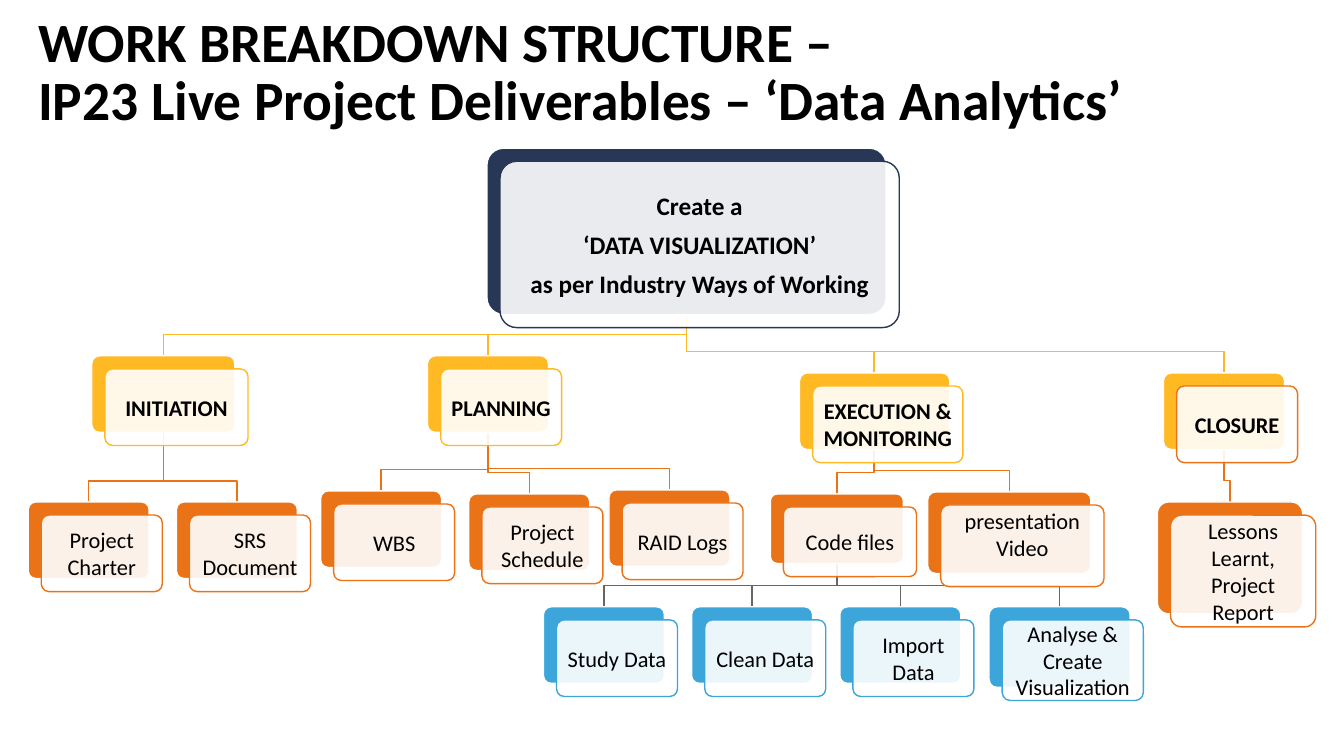
from dataclasses import dataclass
from typing import Iterator, Optional

from lxml.etree import SubElement
from pptx import Presentation
from pptx.dml.color import RGBColor
from pptx.enum.shapes import MSO_SHAPE
from pptx.enum.text import MSO_ANCHOR, PP_ALIGN
from pptx.oxml.ns import qn
from pptx.util import Pt

PX = 9144
OFFSET = 13
BEND = 21
FONT = "Calibri"
BLACK = RGBColor(0x00, 0x00, 0x00)
WHITE = RGBColor(0xFF, 0xFF, 0xFF)
NAVY = RGBColor(0x27, 0x37, 0x55)
AMBER = RGBColor(0xFF, 0xB9, 0x23)
ORANGE = RGBColor(0xEA, 0x73, 0x17)
BLUE = RGBColor(0x3C, 0xA5, 0xD9)
GREY = RGBColor(0x66, 0x66, 0x66)


@dataclass(frozen=True)
class Level:
    fill: RGBColor
    link: RGBColor
    size: int = 16
    bold: bool = False


@dataclass(frozen=True)
class Node:
    text: str
    level: Level
    x: int
    y: int
    w: int = 120
    h: int = 76
    children: tuple["Node", ...] = ()
    border: Optional[RGBColor] = None
    anchor: MSO_ANCHOR = MSO_ANCHOR.MIDDLE

    @property
    def center(self) -> int:
        return self.x + self.w // 2


GOAL = Level(NAVY, NAVY, 18, True)
PHASE = Level(AMBER, AMBER, bold=True)
OUTPUT = Level(ORANGE, ORANGE)
TASK = Level(BLUE, GREY)

TREE = Node("Create a\n‘DATA VISUALIZATION’\nas per Industry Ways of Working", GOAL, 483, 147, 396, 165, (
    Node("INITIATION", PHASE, 91, 353, 142, children=(
        Node("Project Charter", OUTPUT, 28, 498),
        Node("SRS Document", OUTPUT, 175, 498),
    )),
    Node("PLANNING", PHASE, 424, 353, children=(
        Node("WBS", OUTPUT, 318, 487),
        Node("Project Schedule", OUTPUT, 465, 490),
        Node("RAID Logs", OUTPUT, 604, 486),
    )),
    Node("EXECUTION & MONITORING", PHASE, 793, 370, 149, children=(
        Node("Code files", OUTPUT, 764, 490, 132, 69, (
            Node("Study Data", TASK, 539, 602),
            Node("Clean Data", TASK, 686, 602),
            Node("Import Data", TASK, 833, 602),
            Node("Analyse & Create Visualization", TASK, 981, 602, 140, 80),
        )),
        Node("presentation Video", OUTPUT, 920, 488, 162, 81, anchor=MSO_ANCHOR.TOP),
    )),
    Node("CLOSURE", PHASE, 1154, 370, border=ORANGE, children=(
        Node("Lessons Learnt, Project Report", OUTPUT, 1148, 498, 144, 111),
    )),
))


def walk(node: Node) -> Iterator[Node]:
    yield node
    for child in node.children:
        yield from walk(child)


def add_text(p, text: str, size: float, bold: bool) -> None:
    r = p.add_run()
    r.text = text
    r.font.name = FONT
    r.font.size = Pt(size)
    r.font.bold = bold
    r.font.color.rgb = BLACK


def add_title(s, lines: list[str]) -> None:
    tf = s.shapes.add_textbox(28 * PX, PX, 1150 * PX, 145 * PX).text_frame
    tf.word_wrap = True
    tf.vertical_anchor = MSO_ANCHOR.MIDDLE
    p = tf.paragraphs[0]
    p.line_spacing = 0.87
    for i, line in enumerate(lines):
        if i:
            p.add_line_break()
        add_text(p, line, 39.6, True)


def add_link(s, parent: Node, child: Node) -> None:
    bend = child.y - BEND
    fb = s.shapes.build_freeform(parent.center, parent.y + parent.h, scale=PX)
    fb.add_line_segments(
        [(parent.center, bend), (child.center, bend), (child.center, child.y)], close=False)
    sp = fb.convert_to_shape()
    sp.shadow.inherit = False
    sp.fill.background()
    sp.line.color.rgb = child.level.link
    sp.line.width = Pt(1)


def add_box(s, node: Node, offset: int, fill: RGBColor, line: RGBColor):
    sp = s.shapes.add_shape(MSO_SHAPE.ROUNDED_RECTANGLE, (node.x + offset) * PX,
                            (node.y + offset) * PX, node.w * PX, node.h * PX)
    sp.adjustments[0] = 0.1
    sp.shadow.inherit = False
    sp.fill.solid()
    sp.fill.fore_color.rgb = fill
    sp.line.color.rgb = line
    sp.line.width = Pt(1)
    return sp


def add_card(s, node: Node) -> None:
    level = node.level
    add_box(s, node, 0, level.fill, WHITE)
    sp = add_box(s, node, OFFSET, WHITE, node.border or level.fill)
    color = sp.fill._xPr.find(qn("a:solidFill"))[0]
    SubElement(color, qn("a:alpha")).set("val", "90000")
    tf = sp.text_frame
    tf.word_wrap = True
    tf.vertical_anchor = node.anchor
    tf.margin_left = tf.margin_right = 4 * PX
    tf.margin_top = tf.margin_bottom = 0
    for i, line in enumerate(node.text.split("\n")):
        p = tf.add_paragraph() if i else tf.paragraphs[0]
        p.alignment = PP_ALIGN.CENTER
        p.space_after = Pt(6)
        add_text(p, line, level.size, level.bold)


def main() -> None:
    prs = Presentation()
    prs.slide_width = 1333 * PX
    prs.slide_height = 750 * PX
    s = prs.slides.add_slide(prs.slide_layouts[6])
    add_title(s, ["WORK BREAKDOWN STRUCTURE –", "IP23 Live Project Deliverables – ‘Data Analytics’"])
    for node in walk(TREE):
        for child in node.children:
            add_link(s, node, child)
    for node in walk(TREE):
        add_card(s, node)
    prs.save("out.pptx")


if __name__ == "__main__":
    main()
